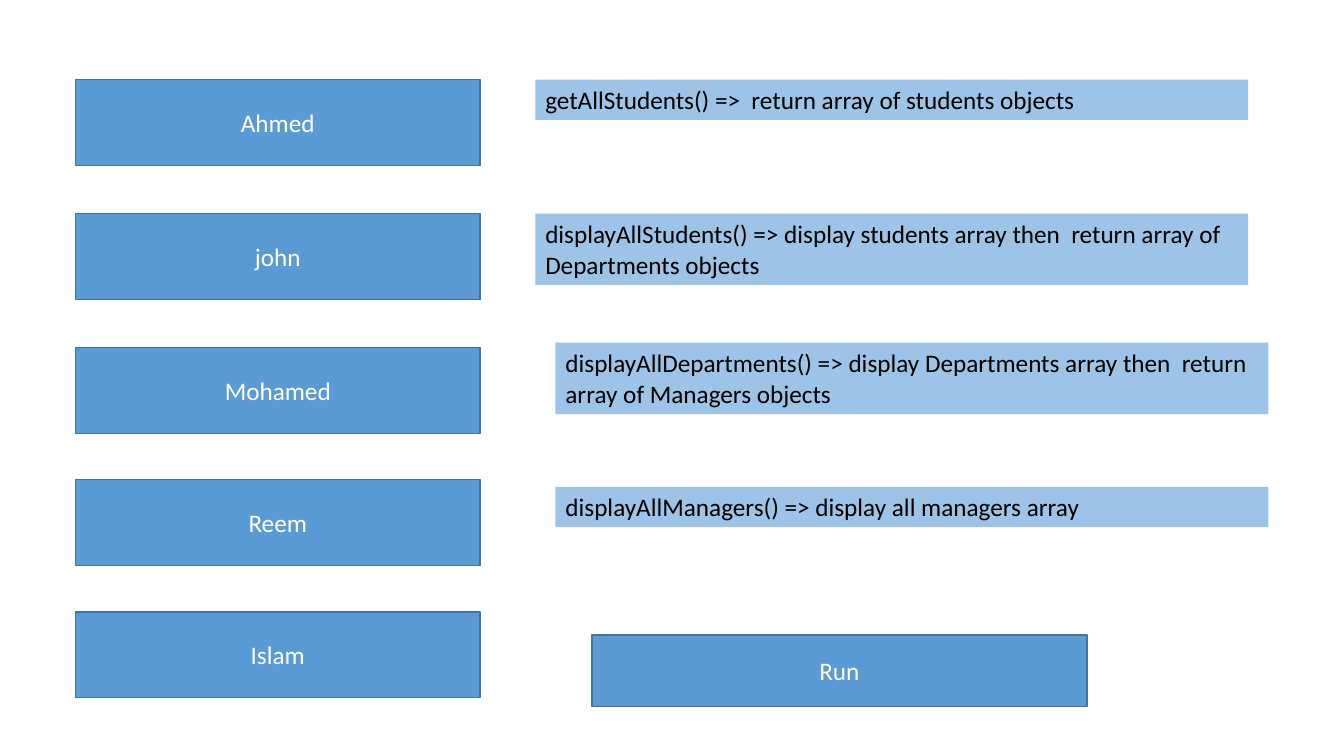
from pptx import Presentation
from pptx.dml.color import RGBColor
from pptx.enum.shapes import MSO_SHAPE
from pptx.enum.text import MSO_ANCHOR, MSO_AUTO_SIZE, PP_ALIGN
from pptx.util import Inches, Pt

NAMES = [("Ahmed", 0), ("john", 1.33), ("Mohamed", 2.66), ("Reem", 3.97), ("Islam", 5.28)]
NOTES = [
    ("getAllStudents() =>  return array of students objects", 0, 0, 0.4),
    ("displayAllStudents() => display students array then  return array of Departments objects",
     0, 1.33, 0.71),
    ("displayAllDepartments() => display Departments array then  return array of Managers objects",
     0.2, 2.61, 0.71),
    ("displayAllManagers() => display all managers array", 0.2, 4.04, 0.4),
]


def paint(color, value):
    color.rgb = RGBColor.from_string(value)


def write(frame, text, color, align):
    frame.word_wrap = True
    para = frame.paragraphs[0]
    para.alignment = align
    run = para.add_run()
    run.text = text
    run.font.name = "Calibri"
    run.font.size = Pt(18)
    paint(run.font.color, color)


def add_button(slide, text, left, top, width, height):
    shape = slide.shapes.add_shape(
        MSO_SHAPE.RECTANGLE, Inches(left), Inches(top), Inches(width), Inches(height))
    shape.shadow.inherit = False
    shape.fill.solid()
    paint(shape.fill.fore_color, "5B9BD5")
    paint(shape.line.color, "43739E")
    shape.line.width = Pt(1)
    shape.text_frame.vertical_anchor = MSO_ANCHOR.MIDDLE
    write(shape.text_frame, text, "FFFFFF", PP_ALIGN.CENTER)


def add_note(slide, text, left, top, width, height):
    box = slide.shapes.add_textbox(Inches(left), Inches(top), Inches(width), Inches(height))
    box.fill.solid()
    paint(box.fill.fore_color, "9DC3E6")
    box.text_frame.auto_size = MSO_AUTO_SIZE.SHAPE_TO_FIT_TEXT
    write(box.text_frame, text, "000000", PP_ALIGN.LEFT)


def add_names(slide, left, top, width):
    for text, down in NAMES:
        add_button(slide, text, left, top + down, width, 0.85)


def add_notes(slide, left, top, width):
    for text, shift, down, height in NOTES:
        add_note(slide, text, left + shift, top + down, width, height)


def main():
    deck = Presentation()
    deck.slide_width = Inches(13.33)
    deck.slide_height = Inches(7.5)
    slide = deck.slides.add_slide(deck.slide_layouts[6])
    add_names(slide, 0.75, 0.79, 4.01)
    add_notes(slide, 5.31, 0.79, 7.07)
    add_button(slide, "Run", 5.87, 6.3, 4.91, 0.71)
    deck.save("out.pptx")


if __name__ == "__main__":
    main()
